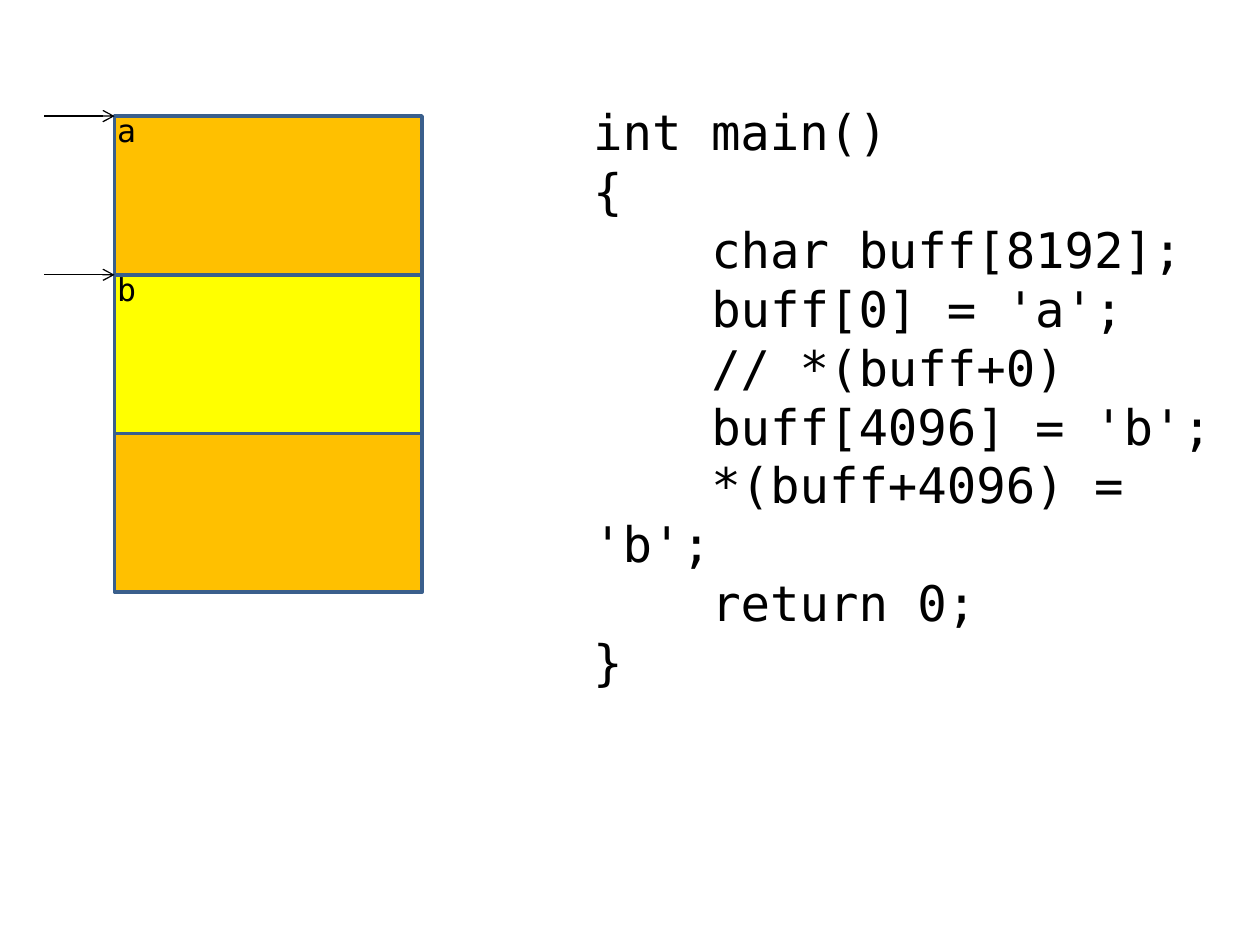
from dataclasses import dataclass

from lxml import etree
from pptx import Presentation
from pptx import util as u
from pptx.dml.color import RGBColor
from pptx.enum import shapes, text
from pptx.oxml.ns import qn

COLORS = {"orange": "FFC000", "yellow": "FFFF00", "border": "3A5F8C", "ink": "000000"}
FONT = "DejaVu Sans Mono"

PAGE_LEFT, PAGES_TOP = 2.31, 2.34
PAGE_WIDTH, PAGE_HEIGHT = 6.2, 3.2
ARROW_LEFT = 0.89
CODE_INDENT = 2.38  # four characters at 28 pt


@dataclass
class MemoryPage:
    color: str
    label: str = ""


@dataclass
class CodeLine:
    words: str
    indented: bool = True


PAGES = [MemoryPage("orange", "a"), MemoryPage("yellow", "b"), MemoryPage("orange")]
CODE = [
    CodeLine("int main()", False),
    CodeLine("{", False),
    CodeLine("char buff[8192];"),
    CodeLine("buff[0] = 'a';"),
    CodeLine("// *(buff+0)"),
    CodeLine("buff[4096] = 'b';"),
    CodeLine("*(buff+4096) = 'b';"),
    CodeLine("return 0;"),
    CodeLine("}", False),
]


def rgb(name: str) -> RGBColor:
    return RGBColor.from_string(COLORS[name])


def style_paragraph(p, size: float) -> None:
    p.font.name = FONT
    p.font.size = u.Pt(size)
    p.font.color.rgb = rgb("ink")


def draw_page(slide, page: MemoryPage, top: float) -> None:
    sp = slide.shapes.add_shape(
        shapes.MSO_SHAPE.RECTANGLE,
        u.Cm(PAGE_LEFT), u.Cm(top), u.Cm(PAGE_WIDTH), u.Cm(PAGE_HEIGHT),
    )
    sp.shadow.inherit = False
    sp.fill.solid()
    sp.fill.fore_color.rgb = rgb(page.color)
    sp.line.color.rgb = rgb("border")
    sp.line.width = u.Pt(2)


def draw_label(slide, label: str, top: float) -> None:
    box = slide.shapes.add_textbox(
        u.Cm(PAGE_LEFT - 0.2), u.Cm(top - 0.23), u.Cm(0.87), u.Cm(1.03)
    )
    tf = box.text_frame
    tf.word_wrap = False
    tf.auto_size = text.MSO_AUTO_SIZE.SHAPE_TO_FIT_TEXT
    tf.text = label
    style_paragraph(tf.paragraphs[0], 18)


def draw_pointer(slide, top: float) -> None:
    """Arrow from the left to the first byte of a page."""
    line = slide.shapes.add_connector(
        shapes.MSO_CONNECTOR.STRAIGHT,
        u.Cm(ARROW_LEFT), u.Cm(top), u.Cm(PAGE_LEFT), u.Cm(top),
    )
    line.line.color.rgb = rgb("ink")
    line.line.width = u.Pt(0.75)
    etree.SubElement(line.line._get_or_add_ln(), qn("a:tailEnd"), type="arrow")
    etree.SubElement(line._element.spPr, qn("a:effectLst"))


def draw_code(slide, lines: list[CodeLine]) -> None:
    box = slide.shapes.add_textbox(u.Cm(11.71), u.Cm(1.93), u.Cm(13.11), u.Cm(11.02))
    tf = box.text_frame
    tf.word_wrap = True
    for i, line in enumerate(lines):
        p = tf.add_paragraph() if i else tf.paragraphs[0]
        p.text = line.words
        style_paragraph(p, 28)
        if line.indented:
            pPr = p._p.get_or_add_pPr()
            pPr.set("marL", "0")
            pPr.set("indent", str(u.Cm(CODE_INDENT)))


def main() -> None:
    prs = Presentation()
    prs.slide_width, prs.slide_height = u.Cm(25.4), u.Cm(19.05)
    slide = prs.slides.add_slide(prs.slide_layouts[6])

    draw_code(slide, CODE)
    tops = [PAGES_TOP + i * PAGE_HEIGHT for i in range(len(PAGES))]
    for page, top in zip(PAGES, tops):
        draw_page(slide, page, top)
    for page, top in zip(PAGES, tops):
        if page.label:
            draw_label(slide, page.label, top)
            draw_pointer(slide, top)

    prs.save("out.pptx")


if __name__ == "__main__":
    main()
